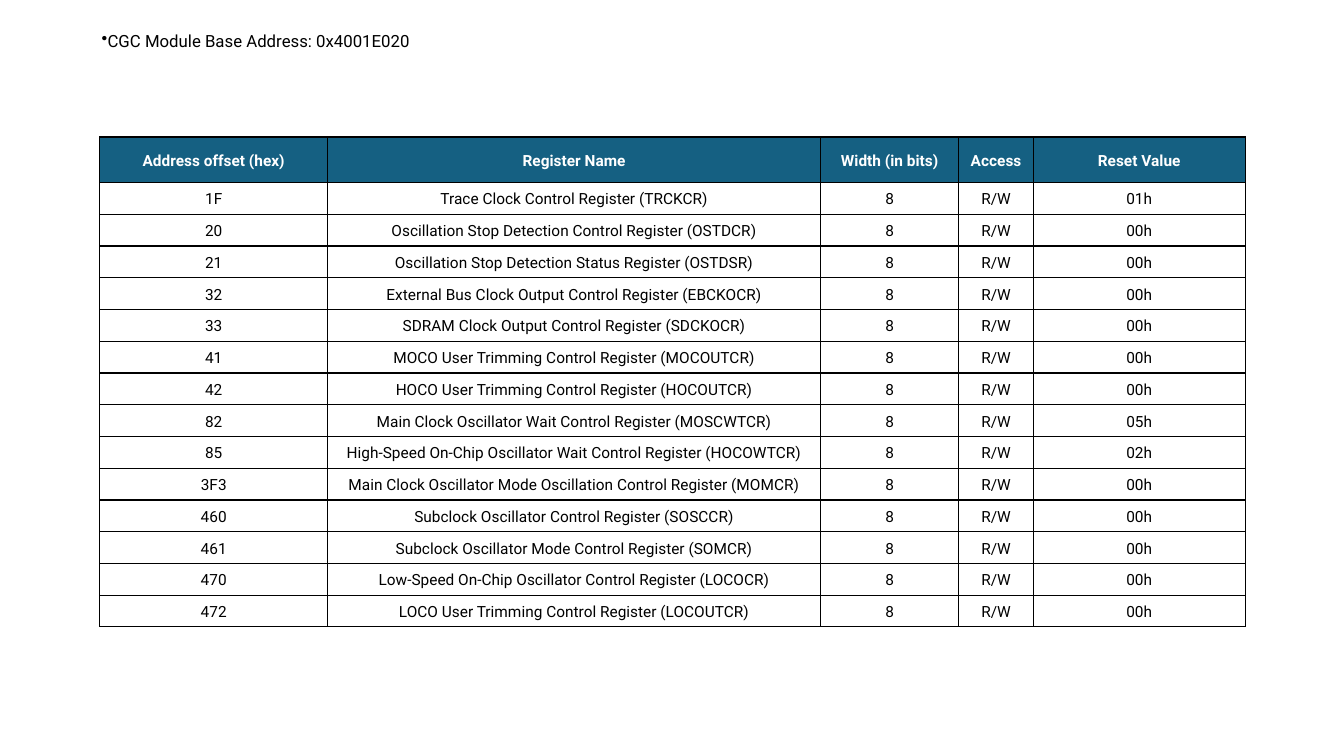
from lxml.etree import SubElement
from pptx import Presentation
from pptx.dml.color import RGBColor
from pptx.enum.text import MSO_ANCHOR as Anchor, PP_ALIGN as Align
from pptx.oxml.ns import qn
from pptx.util import Inches, Pt

FONT = "Roboto"
BLACK, WHITE, TEAL = "000000", "FFFFFF", "156082"
HEADINGS = ("Address offset (hex)", "Register Name", "Width (in bits)", "Access", "Reset Value")
COLUMN_WIDTHS = (2.26, 4.89, 1.37, 0.74, 2.1)
HEADING_HEIGHT = 0.45
REGISTERS = (
    ("1F", "Trace Clock Control Register (TRCKCR)", "01h"),
    ("20", "Oscillation Stop Detection Control Register (OSTDCR)", "00h"),
    ("21", "Oscillation Stop Detection Status Register (OSTDSR)", "00h"),
    ("32", "External Bus Clock Output Control Register (EBCKOCR)", "00h"),
    ("33", "SDRAM Clock Output Control Register (SDCKOCR)", "00h"),
    ("41", "MOCO User Trimming Control Register (MOCOUTCR)", "00h"),
    ("42", "HOCO User Trimming Control Register (HOCOUTCR)", "00h"),
    ("82", "Main Clock Oscillator Wait Control Register (MOSCWTCR)", "05h"),
    ("85", "High-Speed On-Chip Oscillator Wait Control Register (HOCOWTCR)", "02h"),
    ("3F3", "Main Clock Oscillator Mode Oscillation Control Register (MOMCR)", "00h"),
    ("460", "Subclock Oscillator Control Register (SOSCCR)", "00h"),
    ("461", "Subclock Oscillator Mode Control Register (SOMCR)", "00h"),
    ("470", "Low-Speed On-Chip Oscillator Control Register (LOCOCR)", "00h"),
    ("472", "LOCO User Trimming Control Register (LOCOUTCR)", "00h"),
)


def color(hex_value):
    """Turn a hex string into a colour."""
    return RGBColor.from_string(hex_value)


def set_font(paragraph, size, hex_value, bold=False):
    """Apply the slide's typeface to a paragraph."""
    font = paragraph.font
    font.name, font.size, font.bold = FONT, Pt(size), bold
    font.color.rgb = color(hex_value)


def add_borders(cell):
    """Draw a thin black line on every side of a cell."""
    properties = cell._tc.get_or_add_tcPr()
    for index, side in enumerate(("lnL", "lnR", "lnT", "lnB")):
        line = properties.makeelement(qn(f"a:{side}"), {"w": str(Pt(1))})
        fill = SubElement(line, qn("a:solidFill"))
        SubElement(fill, qn("a:srgbClr"), val=BLACK)
        properties.insert(index, line)


def fill_cell(cell, text, heading):
    """Write and format one table cell."""
    cell.text = text
    cell.vertical_anchor = Anchor.MIDDLE
    cell.margin_left = cell.margin_right = Inches(0.05)
    cell.margin_top = cell.margin_bottom = Inches(0.05)
    cell.fill.solid()
    cell.fill.fore_color.rgb = color(TEAL if heading else WHITE)
    paragraph = cell.text_frame.paragraphs[0]
    paragraph.alignment = Align.CENTER
    paragraph.line_spacing = 1.15
    set_font(paragraph, 11, WHITE if heading else BLACK, heading)
    add_borders(cell)


def add_base_address(slide, left, top, width, height):
    """Place the bulleted base address line."""
    box = slide.shapes.add_textbox(Inches(left), Inches(top), Inches(width), Inches(height))
    frame = box.text_frame
    frame.word_wrap = True
    frame.vertical_anchor = Anchor.MIDDLE
    frame.margin_top = frame.margin_bottom = 0
    address = frame.paragraphs[0]
    address.text = "CGC Module Base Address: 0x4001E020"
    set_font(address, 12, BLACK)
    SubElement(address._p.get_or_add_pPr(), qn("a:buChar"), char="•").getparent().insert(
        0, address._p.pPr[-1])


def add_register_table(slide, left, top, width, height):
    """Place the register map, sharing the height left by the heading row."""
    rows = [HEADINGS] + [(offset, name, "8", "R/W", reset) for offset, name, reset in REGISTERS]
    table = slide.shapes.add_table(len(rows), len(HEADINGS), Inches(left), Inches(top),
                                   Inches(width), Inches(height)).table
    table.horz_banding = False
    for column, column_width in zip(table.columns, COLUMN_WIDTHS):
        column.width = Inches(column_width)
    register_height = (height - HEADING_HEIGHT) / len(REGISTERS)
    for index, texts in enumerate(rows):
        heading = index == 0
        table.rows[index].height = Inches(HEADING_HEIGHT if heading else register_height)
        for cell, text in zip(table.rows[index].cells, texts):
            fill_cell(cell, text, heading)


def main():
    """Build the register map slide."""
    deck = Presentation()
    deck.slide_width, deck.slide_height = Inches(13.33), Inches(7.5)
    slide = deck.slides.add_slide(deck.slide_layouts[6])
    add_base_address(slide, 0.91, 0, 8.86, 0.81)
    add_register_table(slide, 0.99, 1.36, 11.36, 4.86)
    deck.save("out.pptx")


if __name__ == "__main__":
    main()
